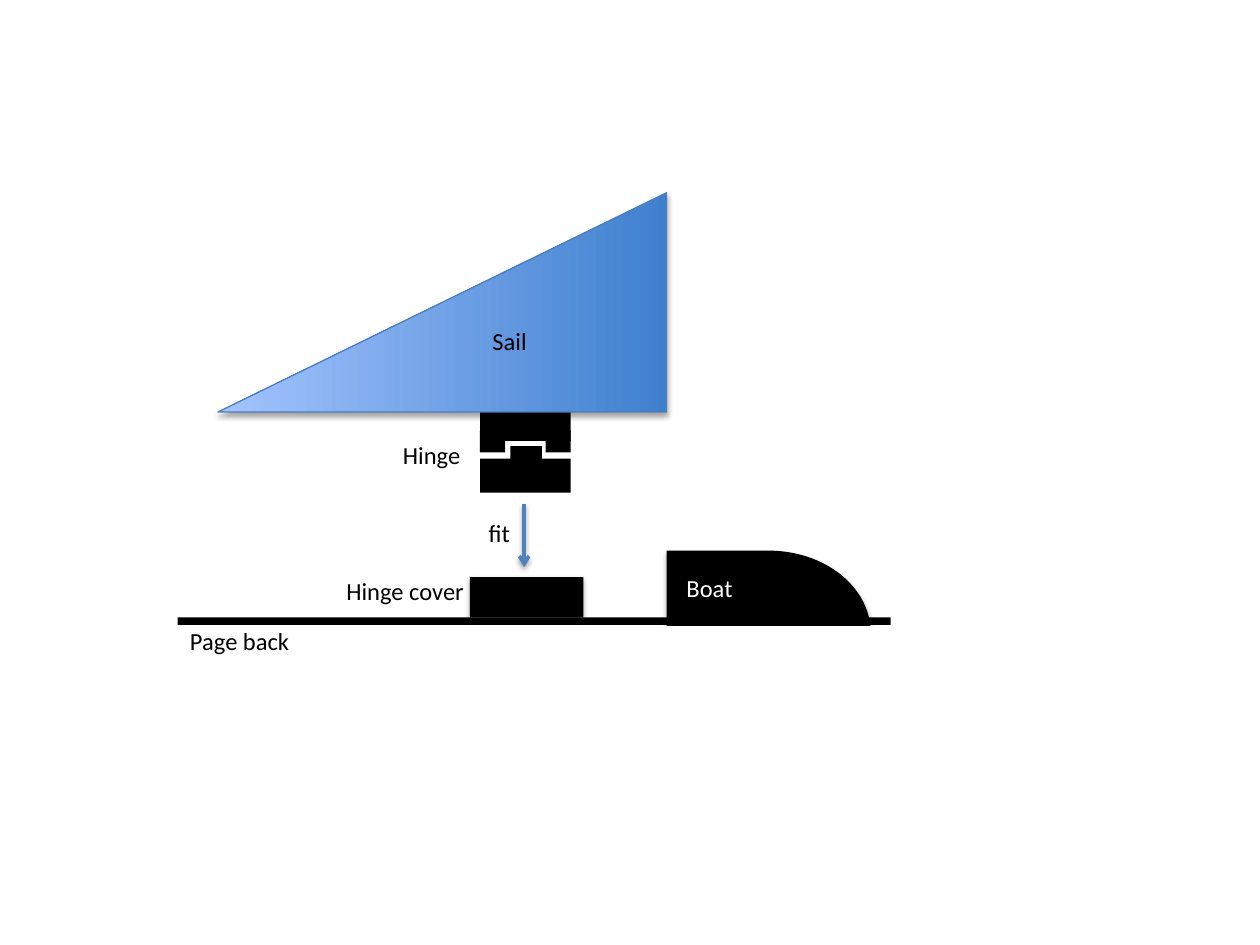
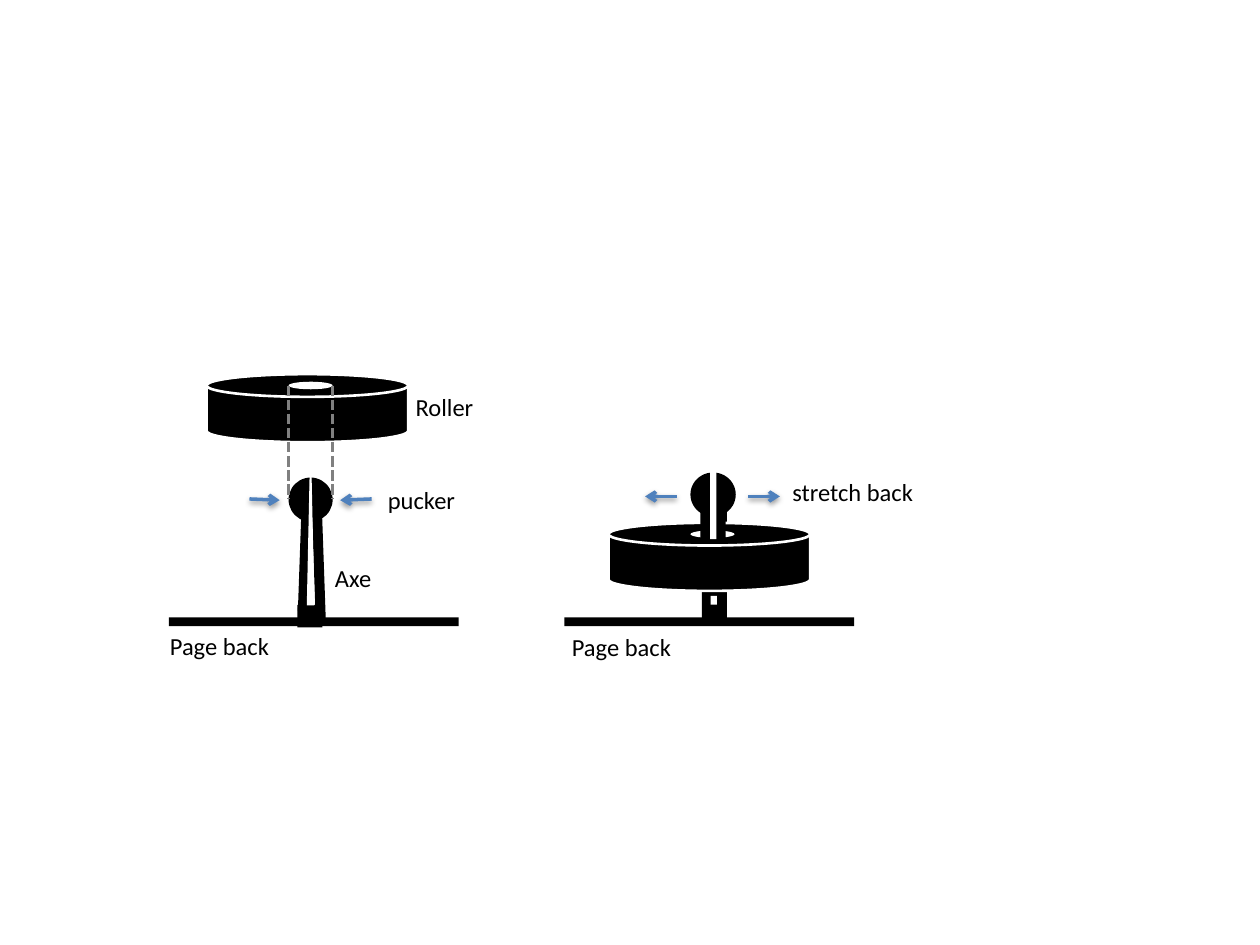
from pptx import Presentation
from pptx import util as u
from pptx.dml.color import RGBColor
from pptx.enum import dml, shapes, text
from pptx.oxml.ns import qn
from lxml import etree

COLORS = {
    "ink": "000000",
    "paper": "FFFFFF",
    "arrow": "4F81BD",
    "guide": "808080",
    "sail_edge": "4B7EBC",
    "sail_dark": "3F80CE",
    "sail_light": "A4C4FF",
}
COLUMNS, ROWS = 100, 75
LABEL_SIZE = (16, 3.4)
LABEL_FRAME = {"word_wrap": True, "auto_size": text.MSO_AUTO_SIZE.SHAPE_TO_FIT_TEXT}
LABEL_FONT = {"name": "Calibri", "size": u.Pt(14)}
SHAPE_SHADOW = {"alpha": 35, "dist": 1.8}
ARROW_SHADOW = {"alpha": 38, "dist": 1.6}
KIND = shapes.MSO_SHAPE


def rgb(name):
    return RGBColor.from_string(COLORS[name])


def apply(target, values):
    for name, value in values.items():
        setattr(target, name, value)


def add_node(parent, tag, **attributes):
    return etree.SubElement(parent, qn(tag), {k: str(v) for k, v in attributes.items()})


def cast_shadow(effects, alpha, dist):
    shadow = add_node(effects, "a:outerShdw", blurRad=u.Pt(3.1), dist=u.Pt(dist),
                      dir=90 * 60000, rotWithShape=0)
    color = add_node(shadow, "a:srgbClr", val=COLORS["ink"])
    add_node(color, "a:alpha", val=alpha * 1000)


class Sketch:
    def __init__(self, prs):
        self.prs = prs
        self.column = prs.slide_width / COLUMNS
        self.row = prs.slide_height / ROWS
        self.s = None

    def new_slide(self):
        self.s = self.prs.slides.add_slide(self.prs.slide_layouts[6])

    def grid(self, *lengths):
        return [round(n * (self.row if i % 2 else self.column))
                for i, n in enumerate(lengths)]

    def shape(self, kind, x, y, w, h, fill="ink", line=None, shadow=False, turn=0):
        if turn == 270:
            x, y, w, h = x + (w - h) / 2, y + (h - w) / 2, h, w
        sp = self.s.shapes.add_shape(kind, *self.grid(x, y, w, h))
        sp.rotation = turn
        if isinstance(fill, tuple):
            sp.fill.gradient()
            sp.fill.gradient_angle = 90
            for stop, (position, color) in zip(sp.fill.gradient_stops, enumerate(fill)):
                stop.position = position
                stop.color.rgb = rgb(color)
        else:
            sp.fill.solid()
            sp.fill.fore_color.rgb = rgb(fill)
        if line:
            color, width = line
            sp.line.color.rgb = rgb(color)
            sp.line.width = u.Pt(width)
        else:
            sp.line.fill.background()
        sp.shadow.inherit = False
        if shadow:
            cast_shadow(sp._element.spPr.find(qn("a:effectLst")), **SHAPE_SHADOW)
        return sp

    def block(self, x, y, w, h, **style):
        return self.shape(KIND.RECTANGLE, x, y, w, h, **style)

    def ball(self, x, y, w, h, **style):
        return self.shape(KIND.OVAL, x, y, w, h, **style)

    def roller(self, x, y):
        self.shape(KIND.FLOWCHART_MAGNETIC_DISK, x, y, 16, 5.4, line=("paper", 1.5))
        self.ball(x + 6.5, y + 0.6, 3.5, 0.6, fill="paper")

    def connector(self, start, end, color, dash=None):
        c = self.s.shapes.add_connector(shapes.MSO_CONNECTOR.STRAIGHT,
                                        *self.grid(*start, *end))
        c.line.color.rgb = rgb(color)
        apply(c.line, {"width": u.Pt(2), "dash_style": dash})
        return c, add_node(c._element.spPr, "a:effectLst")

    def arrow(self, start, end):
        c, effects = self.connector(start, end, "arrow")
        add_node(c.line._get_or_add_ln(), "a:tailEnd", type="arrow")
        cast_shadow(effects, **ARROW_SHADOW)

    def guide(self, x, top, bottom):
        self.connector((x, top), (x, bottom), "guide", dml.MSO_LINE.SQUARE_DOT)

    def label(self, words, x, y, color="ink"):
        tf = self.s.shapes.add_textbox(*self.grid(x, y, *LABEL_SIZE)).text_frame
        apply(tf, LABEL_FRAME)
        r = tf.paragraphs[0].add_run()
        r.text = words
        apply(r.font, LABEL_FONT)
        r.font.color.rgb = rgb(color)


def draw_sailboat(k):
    k.new_slide()
    k.block(14.1, 49, 56.6, 0.6)
    k.block(37.3, 45.8, 9, 3.2, shadow=True)
    k.block(38.1, 36.4, 7.2, 2.7)
    k.block(38.1, 32.1, 7.2, 2.9)
    k.shape(KIND.RIGHT_TRIANGLE, 17.3, 15.3, 35.6, 17.4, turn=270, shadow=True,
            fill=("sail_dark", "sail_light"), line=("sail_edge", 0.75))
    k.arrow((41.6, 40), (41.6, 45))
    k.block(40.5, 35.4, 2.5, 1.7)
    for x in (38.1, 43.3):
        k.block(x, 34.2, 2, 1.7)
    k.shape(KIND.TEAR, 52.9, 43.7, 16.2, 13, turn=270, shadow=True)
    k.block(34, 49.7, 41.2, 13.8, fill="paper")
    k.label("Page back", 14.1, 49.2)
    k.label("Hinge cover", 26.5, 45.2)
    k.label("Hinge", 31, 34.4)
    k.label("fit", 37.8, 40.6)
    k.label("Boat", 53.5, 45, "paper")
    k.label("Sail", 38.1, 25.4)


def draw_roller(k):
    k.new_slide()
    for x in (13.4, 44.8):
        k.block(x, 49, 23, 0.7)

    k.block(23.6, 48, 2, 1.8)
    k.block(23.8, 39.5, 0.8, 9, turn=2)
    k.ball(22.9, 37.9, 3.5, 3.5)
    k.block(24.9, 40.2, 0.8, 9, turn=358)
    slit = k.shape(KIND.TRAPEZOID, 24.4, 37.9, 0.5, 10.1, fill="paper",
                   line=("paper", 0.75))
    slit.adjustments[0] = 0.44
    k.roller(16.4, 29.7)
    for x in (22.9, 26.4):
        k.guide(x, 30.6, 39.6)

    k.block(55.7, 39.9, 2, 9.2)
    k.roller(48.3, 41.5)
    k.ball(54.8, 37.5, 3.6, 3.5)
    k.block(55.6, 40.4, 2, 2.4)
    k.block(56.35, 36.2, 0.5, 6.6, fill="paper")
    k.block(56.4, 47.3, 0.5, 0.7, fill="paper")

    k.arrow((19.8, 39.6), (22.2, 39.7))
    k.arrow((29.5, 39.6), (27, 39.7))
    k.arrow((53.7, 39.4), (51.2, 39.4))
    k.arrow((59.4, 39.4), (61.9, 39.4))

    k.label("Page back", 12.5, 49.6)
    k.label("Page back", 44.4, 49.7)
    k.label("Axe", 25.6, 44.2)
    k.label("pucker", 29.8, 38)
    k.label("Roller", 32, 30.6)
    k.label("stretch back", 61.9, 37.4)


def main():
    prs = Presentation()
    apply(prs, {"slide_width": u.Inches(10), "slide_height": u.Inches(7.5)})
    sketch = Sketch(prs)
    draw_sailboat(sketch)
    draw_roller(sketch)
    prs.save("out.pptx")


if __name__ == "__main__":
    main()
